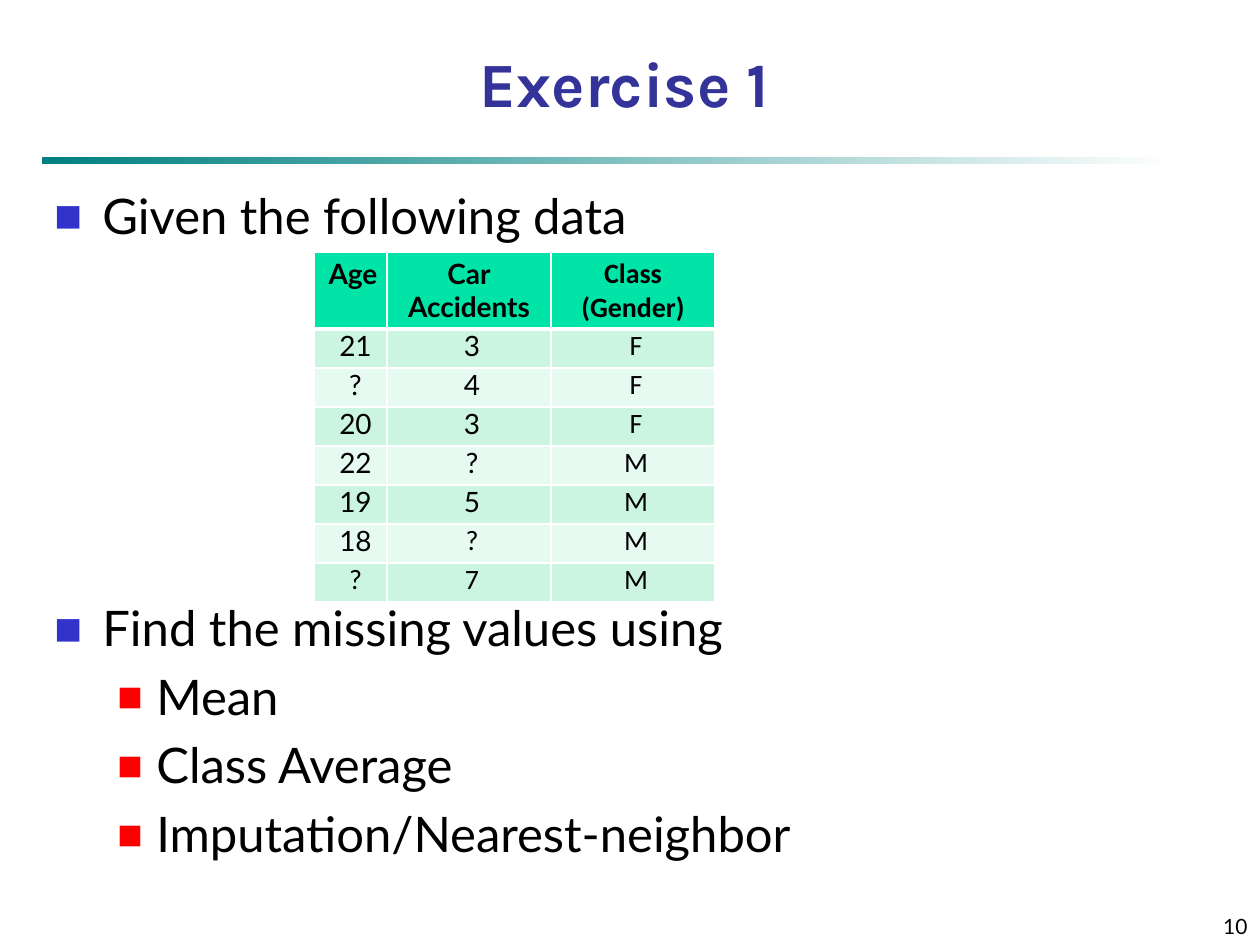
from lxml.etree import SubElement
from pptx import Presentation
from pptx.dml.color import RGBColor
from pptx.enum.shapes import MSO_SHAPE as Shape
from pptx.enum.text import MSO_ANCHOR as Anchor, PP_ALIGN as Align
from pptx.oxml import parse_xml
from pptx.oxml.ns import nsdecls, qn
from pptx.util import Emu, Pt

TITLE = "Exercise 1"
PAGE_NUMBER = "10"
BULLETS = [
    (0, "Given the following data"),
    (0, "Find the missing values using"),
    (1, "Mean"),
    (1, "Class Average"),
    (1, "Imputation/Nearest-neighbor"),
]
HEADER = [["Age"], ["Car", "Accidents"], ["Class (Gender)"]]
RECORDS = [
    ("21", "3", "F"),
    ("?", "4", "F"),
    ("20", "3", "F"),
    ("22", "?", "M"),
    ("19", "5", "M"),
    ("18", "?", "M"),
    ("?", "7", "M"),
]
CALIBRI_FROM = [2, 2, 2, 2, 2, 2, 1, 0]

BLACK = RGBColor(0, 0, 0)
WHITE = RGBColor(0xFF, 0xFF, 0xFF)
NAVY = RGBColor(0x33, 0x33, 0x99)
BLUE = RGBColor(0x33, 0x33, 0xCC)
RED = RGBColor(0xFF, 0, 0)
TEAL = RGBColor(0, 0x80, 0x80)
HEADER_GREEN = RGBColor(0, 0xE4, 0xA8)
BANDS = [RGBColor(0xCC, 0xF5, 0xE1), RGBColor(0xE7, 0xFA, 0xF1)]

TITLE_BOX = (21, 42, 1207, 84)
RULE_BOX = (42, 157, 1134, 7)
BODY_BOX = (42, 179, 1155, 714)
NUMBER_BOX = (998, 892, 262, 53)
TABLE_ORIGIN = (314, 252)
COLUMN_WIDTHS = [73, 164, 164]
ROW_HEIGHTS = [77] + [39] * len(RECORDS)
BULLET_STYLES = [(48, -48, BLUE, 60), (102, -39, RED, 55)]
BULLET_GAP = 5.6
TABLE_GAP = 202


def px(value):
    """Turn pixels into EMU."""
    return Emu(round(value * 914400 / 126))


def write_text(frame, lines, size, font="Lato", color=BLACK, bold=False,
               align=Align.LEFT, anchor=Anchor.TOP, indent=0):
    """Fill a text frame with one paragraph per line."""
    frame.word_wrap = True
    frame.vertical_anchor = anchor
    for index, line in enumerate(lines):
        paragraph = frame.add_paragraph() if index else frame.paragraphs[0]
        paragraph.alignment = align
        if indent:
            paragraph._p.get_or_add_pPr().set("marL", str(px(indent)))
        run = paragraph.add_run()
        run.text = line
        run.font.size = Pt(size)
        run.font.name = font
        run.font.bold = bold
        run.font.color.rgb = color


def add_text(slide, box, lines, **style):
    """Add a text box and return its frame."""
    frame = slide.shapes.add_textbox(*map(px, box)).text_frame
    write_text(frame, lines, **style)
    return frame


def set_bullet(paragraph, level):
    """Give a paragraph the square bullet of its level."""
    margin, hanging, color, percent = BULLET_STYLES[level]
    paragraph.level = level
    properties = paragraph._p.get_or_add_pPr()
    properties.set("marL", str(px(margin)))
    properties.set("indent", str(px(hanging)))
    SubElement(SubElement(properties, qn("a:buClr")), qn("a:srgbClr"), val=str(color))
    SubElement(properties, qn("a:buSzPct"), val=str(percent * 1000))
    SubElement(properties, qn("a:buFont"), typeface="Lato")
    SubElement(properties, qn("a:buChar"), char="■")


def set_borders(cell, **widths):
    """Draw white borders of the given point widths."""
    properties = cell._tc.get_or_add_tcPr()
    for index, side in enumerate("LRTB"):
        width = Pt(widths.get(side, 1))
        properties.insert(index, parse_xml(
            f'<a:ln{side} {nsdecls("a")} w="{width}"><a:solidFill>'
            f'<a:srgbClr val="{WHITE}"/></a:solidFill></a:ln{side}>'))


def add_rule(slide):
    """Add the fading line below the title."""
    rule = slide.shapes.add_shape(Shape.RECTANGLE, *map(px, RULE_BOX))
    rule.shadow.inherit = False
    rule.line.fill.background()
    rule.fill.gradient()
    rule.fill.gradient_angle = 0
    for stop, color, position in zip(rule.fill.gradient_stops, (TEAL, WHITE), (0, 1)):
        stop.color.rgb = color
        stop.position = position


def add_body(slide):
    """Add the bullets, leaving room for the table."""
    frame = add_text(slide, BODY_BOX, [text for _, text in BULLETS], size=28)
    for index, (level, _) in enumerate(BULLETS):
        paragraph = frame.paragraphs[index]
        paragraph.space_before = Pt(TABLE_GAP if index == 1 else BULLET_GAP)
        set_bullet(paragraph, level)


def add_data_table(slide):
    """Add the table of records."""
    rows = [HEADER] + [[[value] for value in record] for record in RECORDS]
    size = (sum(COLUMN_WIDTHS), sum(ROW_HEIGHTS))
    table = slide.shapes.add_table(
        len(rows), len(HEADER), *map(px, TABLE_ORIGIN + size)).table
    for column, width in zip(table.columns, COLUMN_WIDTHS):
        column.width = px(width)
    for r, row in enumerate(rows):
        table.rows[r].height = px(ROW_HEIGHTS[r])
        for c, lines in enumerate(row):
            cell = table.cell(r, c)
            cell.margin_left = cell.margin_bottom = px(5)
            cell.margin_right = px(5 if c else 0)
            cell.margin_top = px(0 if r else 5)
            cell.fill.solid()
            cell.fill.fore_color.rgb = BANDS[(r - 1) % 2] if r else HEADER_GREEN
            set_borders(cell, T=3 if r == 1 else 1, B=1 if r else 3)
            write_text(cell.text_frame, lines, size=16, bold=r == 0, align=Align.CENTER,
                       font="Calibri" if c >= CALIBRI_FROM[r] else "Lato",
                       indent=(6 if c else 5) if r else 0)


def main():
    """Build and save the slide."""
    presentation = Presentation()
    presentation.slide_width, presentation.slide_height = px(1260), px(945)
    slide = presentation.slides.add_slide(presentation.slide_layouts[6])
    add_rule(slide)
    add_text(slide, TITLE_BOX, [TITLE], size=36, font="Karla", color=NAVY,
             bold=True, align=Align.CENTER, anchor=Anchor.BOTTOM)
    add_body(slide)
    add_text(slide, NUMBER_BOX, [PAGE_NUMBER], size=12,
             align=Align.RIGHT, anchor=Anchor.BOTTOM)
    add_data_table(slide)
    presentation.save("out.pptx")


if __name__ == "__main__":
    main()
